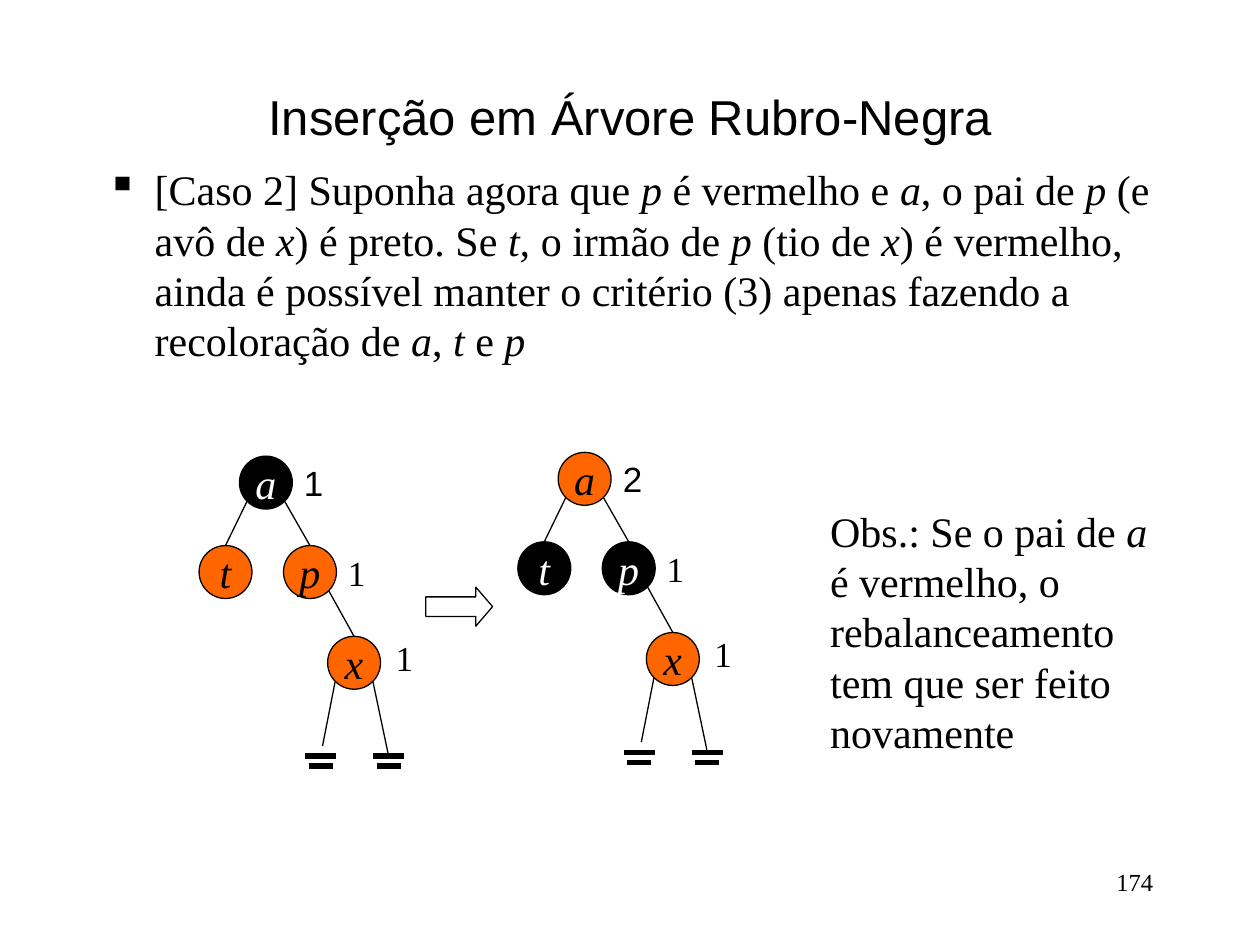
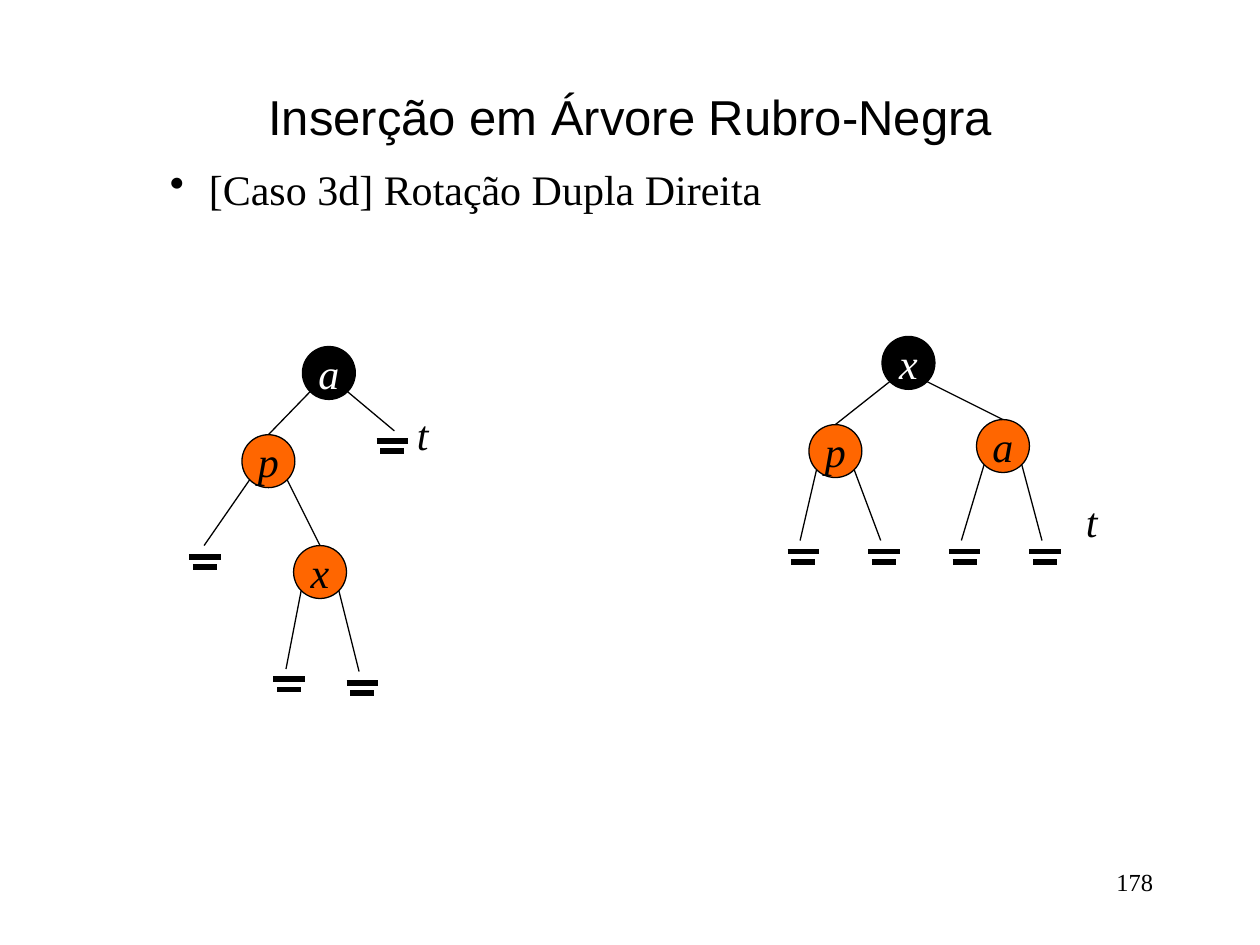
import pptx
import pptx.util
import pptx.dml.color
import pptx.enum.shapes
import pptx.enum.text
import pptx.oxml.ns
from lxml import etree

Inches = pptx.util.Inches
Pt = pptx.util.Pt
MSO_SHAPE = pptx.enum.shapes.MSO_SHAPE
ALIGN = pptx.enum.text.PP_ALIGN
ANCHOR = pptx.enum.text.MSO_ANCHOR
qn = pptx.oxml.ns.qn

BLACK = pptx.dml.color.RGBColor(0x00, 0x00, 0x00)
WHITE = pptx.dml.color.RGBColor(0xFF, 0xFF, 0xFF)
RED = pptx.dml.color.RGBColor(0xFF, 0x66, 0x00)
SANS, SERIF = "Arial", "Times New Roman"
TITLE = "Inserção em Árvore Rubro-Negra"
NODE = 0.42  # node diameter
THIN, THICK = 0.75, 3


def write(sp, text, size, font=SERIF, color=BLACK, align=ALIGN.LEFT, wrap=True,
          anchor=ANCHOR.TOP, left=0, indent=0, bullet=None):
    """Fill a shape with one paragraph; asterisks switch italics on and off."""
    tf = sp.text_frame
    for name, value in {"word_wrap": wrap, "vertical_anchor": anchor}.items():
        setattr(tf, name, value)
    p = tf.paragraphs[0]
    p.alignment = align
    pPr = p._p.get_or_add_pPr()
    pPr.set("marL", str(Inches(left)))
    pPr.set("indent", str(Inches(indent)))
    if bullet:
        etree.SubElement(pPr, qn("a:buChar")).set("char", bullet)
    for i, part in enumerate(text.split("*")):
        for j, line in enumerate(part.split("\n")):
            if j:
                p.add_line_break()
            if line:
                r = p.add_run()
                r.text = line
                fmt = {"size": Pt(size), "name": font, "italic": i % 2 == 1}
                for name, value in fmt.items():
                    setattr(r.font, name, value)
                r.font.color.rgb = color


def add_line(s, x1, y1, x2, y2, width):
    c = s.shapes.add_connector(pptx.enum.shapes.MSO_CONNECTOR.STRAIGHT,
                               Inches(x1), Inches(y1), Inches(x2), Inches(y2))
    c.line.color.rgb = BLACK
    c.line.width = Pt(width)
    etree.SubElement(c._element.spPr, qn("a:effectLst"))


# A node is (x, y, left child, right child). A child is a node name, None,
# or an empty leaf (edge end x, edge end y, bar left, bar y).
case2_tree = {
    "a": (1.9, 3.62, "t", "p"),
    "t": (1.58, 4.33, None, None),
    "p": (2.25, 4.33, None, "x"),
    "x": (2.6, 5.05, (2.56, 5.92, 2.42, 6), (3.08, 5.98, 2.96, 6)),
}
before_rotation = {
    "a": (2.4, 2.75, "p", (3.13, 3.42, 2.99, 3.5)),
    "p": (1.92, 3.45, (1.62, 4.33, 1.5, 4.42), "x"),
    "x": (2.33, 4.33, (2.27, 5.31, 2.17, 5.39), (2.85, 5.33, 2.75, 5.42)),
}
leaves = [(x, 4.29, 6.25 + 0.64 * i, 4.38) for i, x in enumerate((6.35, 6.99, 7.63, 8.27))]
after_rotation = {
    "x": (7, 2.67, "p", "a"),
    "p": (6.42, 3.37, leaves[0], leaves[1]),
    "a": (7.75, 3.33, leaves[2], leaves[3]),
}

# Labels beside the nodes: (x, y, width, height, text, size, font)
case2_labels = []
for dx, dy, root_height in ((0, 0, "1"), (2.53, -0.03, "2")):
    case2_labels += [
        (2.31 + dx, 3.61 + dy, 0.36, 0.43, root_height, 20, SANS),
        (2.66 + dx, 4.33 + dy, 0.34, 0.43, "1", 20, SERIF),
        (3.04 + dx, 5 + dy, 0.34, 0.43, "1", 20, SERIF),
    ]
rotation_labels = [(x, y, 0.29, 0.5, "*t*", 24, SERIF) for x, y in ((3.21, 3.19), (8.52, 3.88))]

slides = [
    {
        "number": "174",
        "body": "[Caso 2] Suponha agora que *p* é vermelho e *a*, o pai de *p* (e avô de *x*) "
                "é preto. Se *t, *o irmão de *p* (tio de *x*) é vermelho, ainda é possível "
                "manter o critério (3) apenas fazendo a recoloração de *a*, *t* e *p*",
        "bullet": {"left": 0.38, "indent": -0.38, "bullet": "▪"},
        # tree, shift right, shift down, names of the black nodes
        "trees": [(case2_tree, 0, 0, "a"), (case2_tree, 2.53, -0.03, "tp")],
        "labels": case2_labels,
    },
    {
        "number": "178",
        "body": "[Caso 3d] Rotação Dupla Direita",
        "bullet": {"left": 0.81, "indent": -0.31, "bullet": "•"},
        "trees": [(before_rotation, 0, 0, "a"), (after_rotation, 0, 0, "x")],
        "labels": rotation_labels,
    },
]

prs = pptx.Presentation()
prs.slide_width, prs.slide_height = Inches(10), Inches(7.5)

for content in slides:
    s = prs.slides.add_slide(prs.slide_layouts[6])
    texts = [
        ((7.17, 6.83, 2.08, 0.5), content["number"], 14, {"align": ALIGN.RIGHT}),
        ((0.75, 0.67, 8.5, 0.5), TITLE, 28,
         {"font": SANS, "align": ALIGN.CENTER, "anchor": ANCHOR.MIDDLE}),
        ((0.75, 1.25, 8.5, 5.42), content["body"], 24, content["bullet"]),
    ]
    for x, y, w, h, label, size, font in content["labels"]:
        texts.append(((x, y, w, h), label, size,
                      {"font": font, "align": ALIGN.CENTER, "wrap": False}))
    for box, text, size, fmt in texts:
        write(s.shapes.add_textbox(*map(Inches, box)), text, size, **fmt)

    for tree, dx, dy, black_nodes in content["trees"]:
        for name, (x, y, *children) in tree.items():
            x, y = x + dx, y + dy
            black = name in black_nodes
            sp = s.shapes.add_shape(MSO_SHAPE.OVAL, Inches(x), Inches(y), Inches(NODE), Inches(NODE))
            sp.shadow.inherit = False
            sp.fill.solid()
            sp.fill.fore_color.rgb = BLACK if black else RED
            sp.line.color.rgb = BLACK
            sp.line.width = Pt(THIN)
            write(sp, f"*{name}*", 24, color=WHITE if black else BLACK,
                  align=ALIGN.CENTER, wrap=False, anchor=ANCHOR.MIDDLE)
            for child, start in zip(children, (0.06, 0.36)):
                if child is None:
                    continue
                if child in tree:
                    end_x, end_y = tree[child][0] + NODE / 2, tree[child][1]
                else:
                    end_x, end_y, bar_x, bar_y = child
                    bar_x, bar_y = bar_x + dx, bar_y + dy
                    add_line(s, bar_x, bar_y, bar_x + 0.25, bar_y, THICK)
                    add_line(s, bar_x + 0.03, bar_y + 0.08, bar_x + 0.22, bar_y + 0.08, THICK)
                add_line(s, x + start, y + 0.36, end_x + dx, end_y + dy, THIN)

# Recolouring arrow and remark of case 2
s = prs.slides[0]
sp = s.shapes.add_shape(MSO_SHAPE.RIGHT_ARROW, Inches(3.38), Inches(4.66), Inches(0.53), Inches(0.31))
sp.adjustments[0], sp.adjustments[1] = 0.5, 0.43
sp.shadow.inherit = False
sp.fill.solid()
sp.fill.fore_color.rgb = WHITE
sp.line.color.rgb = BLACK
sp.line.width = Pt(THIN)

remark = s.shapes.add_textbox(Inches(5.99), Inches(3.96), Inches(3.3), Inches(2.1))
write(remark, "Obs.: Se o pai de *a*\né vermelho, o\nrebalanceamento\ntem que ser feito\nnovamente",
      24, wrap=False, left=0.5)

prs.save("out.pptx")
